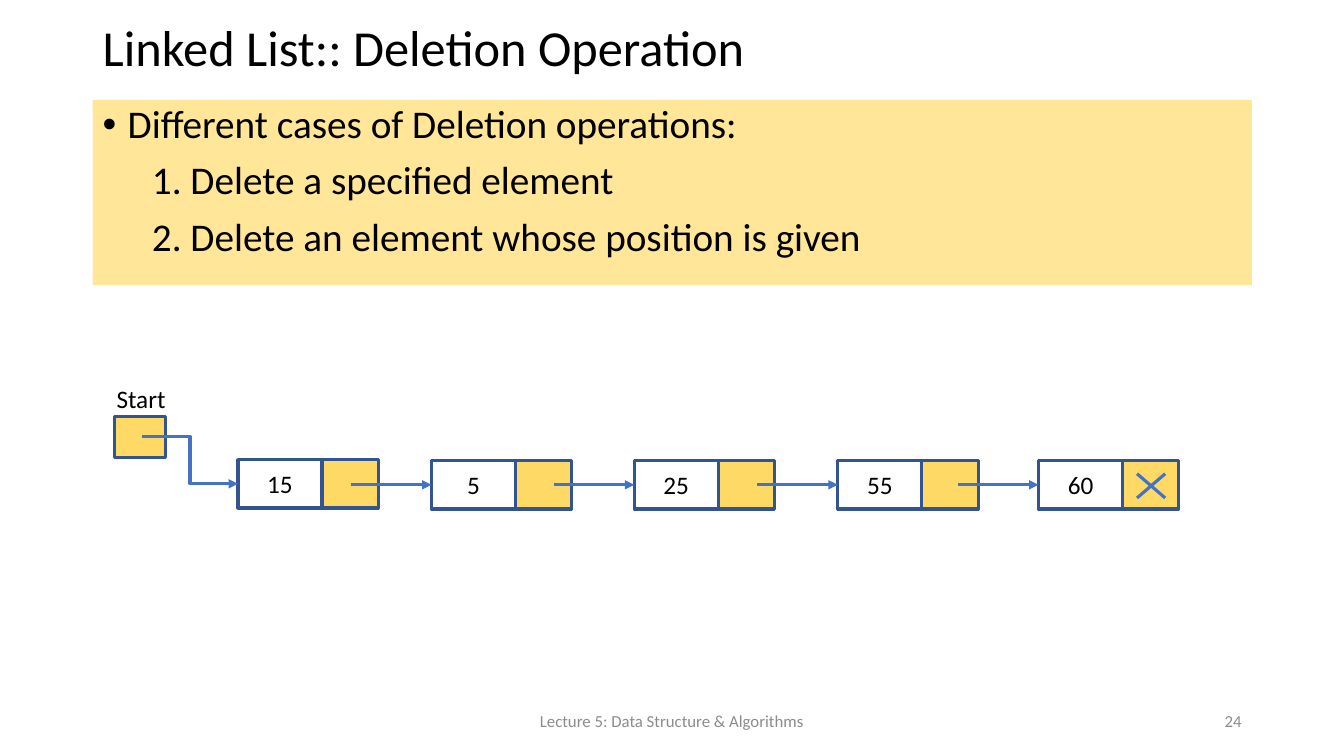
from dataclasses import dataclass

from lxml.etree import SubElement
from pptx import Presentation
from pptx.dml.color import RGBColor
from pptx.enum.shapes import MSO_CONNECTOR as Connector, MSO_SHAPE as Shape
from pptx.enum.text import MSO_ANCHOR as Anchor, MSO_AUTO_SIZE as AutoSize, PP_ALIGN as Align
from pptx.oxml.ns import qn
from pptx.util import Pt

BLACK, GREY, CREAM, GOLD = "000000", "8C8C8C", "FFE699", "FFD966"
BORDER, ARROW = "325491", "4472C4"
LINE_WIDTH = 2.25
VALUE_WIDTH, POINTER_WIDTH, NODE_HEIGHT = 60, 40.2, 34.6
ARROW_LENGTH = 57.6


@dataclass
class Node:
    value: str
    left: float
    top: float = 329


@dataclass
class Item:
    text: str
    margin: float
    indent: float
    bullet: str
    attributes: dict[str, str]


NODES = [
    Node("15", 170, 328.3),
    Node("5", 308.2),
    Node("25", 453),
    Node("55", 598.5),
    Node("60", 741.8),
]
NUMBERED = (40.3, -5, "a:buAutoNum", {"type": "arabicPeriod"})
ITEMS = [
    Item("Different cases of Deletion operations:", 18, -18, "a:buChar", {"char": "•"}),
    Item(" Delete a specified element", *NUMBERED),
    Item(" Delete an element whose position is given", *NUMBERED),
]


def color(value: str) -> RGBColor:
    return RGBColor.from_string(value)


def write(paragraph, text: str, *, size: float = 18, fill: str = BLACK,
          align=Align.LEFT, spacing: float = 1.0, before: float = 0) -> None:
    paragraph.alignment = align
    paragraph.line_spacing = spacing
    paragraph.space_before = Pt(before)
    run = paragraph.add_run()
    run.text = text
    run.font.name = "Calibri"
    run.font.size = Pt(size)
    run.font.color.rgb = color(fill)


def add_label(slide, text: str, box: tuple, *, anchor=Anchor.MIDDLE, **text_format) -> None:
    frame = slide.shapes.add_textbox(*map(Pt, box)).text_frame
    frame.word_wrap = True
    frame.vertical_anchor = anchor
    write(frame.paragraphs[0], text, **text_format)


def add_box(slide, box: tuple, *, fill: str | None = None, border: str | None = BORDER):
    shape = slide.shapes.add_shape(Shape.RECTANGLE, *map(Pt, box))
    shape.shadow.inherit = False
    if fill:
        shape.fill.solid()
        shape.fill.fore_color.rgb = color(fill)
    else:
        shape.fill.background()
    if border:
        shape.line.color.rgb = color(border)
        shape.line.width = Pt(LINE_WIDTH)
    else:
        shape.line.fill.background()
    return shape


def add_line(slide, start: tuple, end: tuple, *, kind=Connector.STRAIGHT, arrow: bool = True):
    line = slide.shapes.add_connector(kind, *map(Pt, start + end))
    line.line.color.rgb = color(ARROW)
    line.line.width = Pt(LINE_WIDTH)
    if arrow:
        SubElement(line.line._get_or_add_ln(), qn("a:tailEnd"), type="triangle")
    SubElement(line._element.spPr, qn("a:effectLst"))
    return line


def add_title(slide, text: str) -> None:
    title = slide.shapes.title
    title.left, title.top, title.width, title.height = map(Pt, (66.2, 10.8, 524, 50.4))
    frame = title.text_frame
    frame.auto_size = AutoSize.NONE
    frame.vertical_anchor = Anchor.MIDDLE
    write(frame.paragraphs[0], text, size=36, spacing=0.9)


def add_cases(slide) -> None:
    frame = add_box(slide, (66.2, 71.3, 828, 132.5), fill=CREAM, border=None).text_frame
    frame.word_wrap = True
    frame.vertical_anchor = Anchor.TOP
    for index, item in enumerate(ITEMS):
        paragraph = frame.add_paragraph() if index else frame.paragraphs[0]
        write(paragraph, item.text, size=28, spacing=0.9, before=10)
        properties = paragraph._p.get_or_add_pPr()
        properties.set("marL", str(Pt(item.margin)))
        properties.set("indent", str(Pt(item.indent)))
        SubElement(properties, qn("a:buFont"), typeface="Arial" if index == 0 else "+mj-lt")
        SubElement(properties, qn(item.bullet), item.attributes)


def add_node(slide, node: Node):
    """Draw the value and pointer cells and return the value cell."""
    value = add_box(slide, (node.left, node.top, VALUE_WIDTH, NODE_HEIGHT))
    value.text_frame.vertical_anchor = Anchor.MIDDLE
    write(value.text_frame.paragraphs[0], node.value, align=Align.CENTER)
    add_box(slide, (node.left + VALUE_WIDTH, node.top, POINTER_WIDTH, NODE_HEIGHT), fill=GOLD)
    return value


def add_linked_list(slide) -> None:
    add_box(slide, (82.1, 297.4, 36, 29.5), fill=GOLD)
    add_label(slide, "Start", (66.2, 270, 69.1, 28.8), anchor=Anchor.TOP, align=Align.CENTER)
    cells = [add_node(slide, node) for node in NODES]

    first = NODES[0]
    add_line(slide, (101.5, 311.8), (first.left, first.top + NODE_HEIGHT / 2),
             kind=Connector.ELBOW)
    for node, cell in zip(NODES[1:], cells[1:]):
        middle = node.top + NODE_HEIGHT / 2
        arrow = add_line(slide, (node.left - ARROW_LENGTH, middle), (node.left, middle))
        arrow.end_connect(cell, 1)

    left, right, top, bottom = 812.2, 832.3, 338.4, 355.7
    add_line(slide, (left, top), (right, bottom), arrow=False)
    add_line(slide, (right, top), (left, bottom), arrow=False)


def main() -> None:
    presentation = Presentation()
    presentation.slide_width, presentation.slide_height = Pt(960), Pt(540)
    slide = presentation.slides.add_slide(presentation.slide_layouts[5])
    add_title(slide, "Linked List:: Deletion Operation")
    add_cases(slide)
    add_label(slide, "Lecture 5: Data Structure & Algorithms", (318, 500.5, 324, 28.8),
              size=12, fill=GREY, align=Align.CENTER)
    add_label(slide, "24", (678, 500.5, 216, 28.8), size=12, fill=GREY, align=Align.RIGHT)
    add_linked_list(slide)
    presentation.save("out.pptx")


if __name__ == "__main__":
    main()
